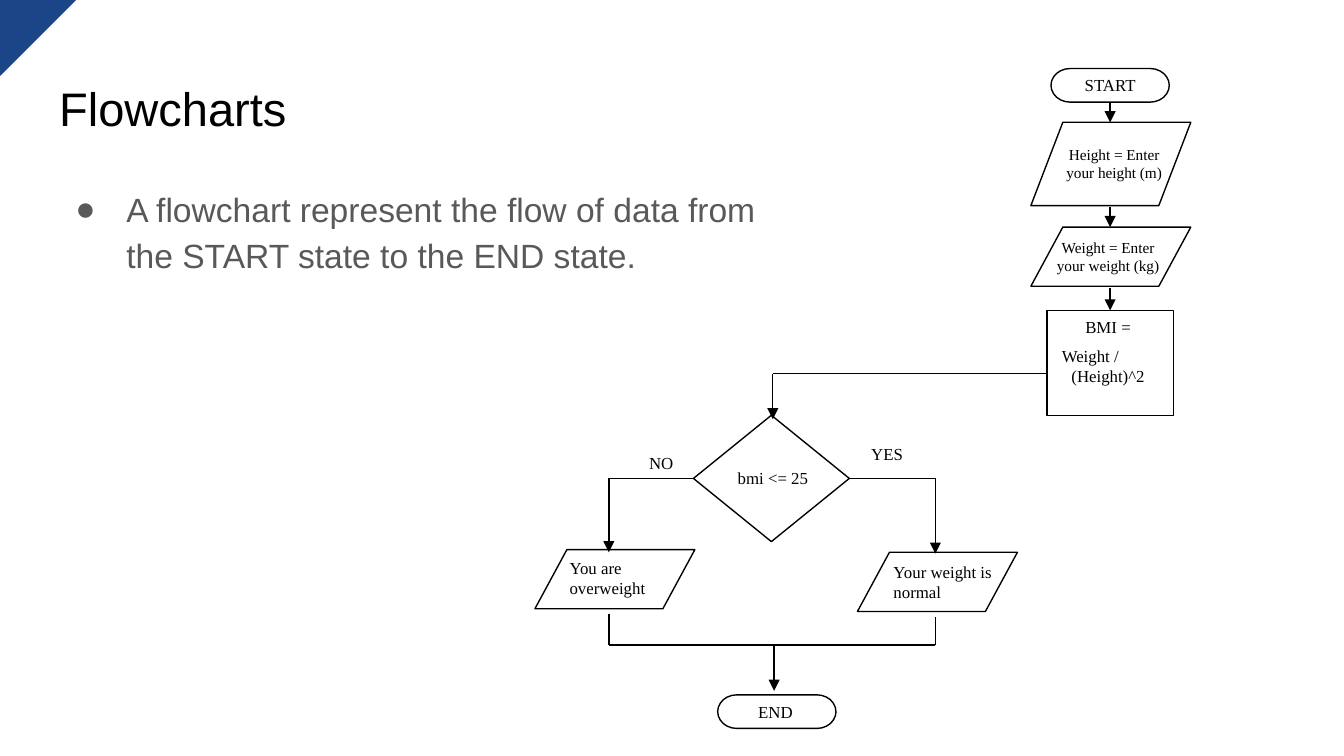
"""Build a slide that explains flowcharts with a BMI example."""
from dataclasses import dataclass

from lxml import etree
from pptx import Presentation
from pptx.dml.color import RGBColor
from pptx.enum import shapes, text
from pptx.oxml import ns
from pptx.util import Inches, Pt


@dataclass(frozen=True)
class Theme:
    ink: RGBColor = RGBColor(0, 0, 0)
    body: RGBColor = RGBColor(0x59, 0x59, 0x59)
    accent: RGBColor = RGBColor(0x1C, 0x45, 0x87)
    sans: str = "Arial"
    serif: str = "Times New Roman"
    title_size: float = 25.2
    body_size: float = 18
    label_size: float = 9
    input_size: float = 8.2
    stroke: float = 0.75


theme = Theme()
kinds = shapes.MSO_SHAPE
align = text.PP_ALIGN


def write(frame, lines, size, font, color, alignment, inset=(0.1, 0.05)):
    frame.word_wrap = True
    frame.auto_size = text.MSO_AUTO_SIZE.NONE
    frame.vertical_anchor = text.MSO_ANCHOR.TOP
    frame.margin_left = frame.margin_right = Inches(inset[0])
    frame.margin_top = frame.margin_bottom = Inches(inset[1])
    for number, line in enumerate(lines):
        paragraph = frame.add_paragraph() if number else frame.paragraphs[0]
        paragraph.alignment = alignment
        paragraph.space_before = Pt(4.5 if number else 0)
        run = paragraph.add_run()
        run.text = line
        run.font.size = Pt(size)
        run.font.name = font
        run.font.color.rgb = color


def connect(start, end, arrow):
    link = slide.shapes.add_connector(
        shapes.MSO_CONNECTOR.STRAIGHT, *map(Inches, (*start, *end)))
    link.line.color.rgb = theme.ink
    link.line.width = Pt(theme.stroke)
    if arrow:
        etree.SubElement(link.line._get_or_add_ln(), ns.qn("a:tailEnd"), type="triangle")
    etree.SubElement(link._element.spPr, ns.qn("a:effectLst"))
    return link


deck = Presentation()
deck.slide_width = Inches(10)
deck.slide_height = deck.slide_width * 9 // 16
slide = deck.slides.add_slide(deck.slide_layouts[1])

title = slide.shapes.title
title.left, title.top, title.width, title.height = map(Inches, (0.34, 0.49, 9.32, 0.63))
write(title.text_frame, ["Flowcharts"], theme.title_size, theme.sans, theme.ink,
      align.LEFT, (0.1, 0.1))

body = slide.placeholders[1]
body.left, body.top, body.width, body.height = map(Inches, (0.34, 1.26, 5.63, 3.74))
write(body.text_frame,
      ["A flowchart represent the flow of data from the START state to the END state."],
      theme.body_size, theme.sans, theme.body, align.LEFT, (0.1, 0.1))
point = body.text_frame.paragraphs[0]
point.line_spacing = 1.15
bullet = point._p.get_or_add_pPr()
bullet.set("marL", str(Inches(0.5)))
bullet.set("indent", str(Inches(-0.38)))
bullet_color = etree.SubElement(bullet, ns.qn("a:buClr"))
etree.SubElement(bullet_color, ns.qn("a:srgbClr"), val=str(theme.body))
etree.SubElement(bullet, ns.qn("a:buFont"), typeface=theme.sans)
etree.SubElement(bullet, ns.qn("a:buChar"), char="●")

corner = slide.shapes.add_shape(
    kinds.RIGHT_TRIANGLE, 0, 0, Inches(0.56), Inches(0.56))
corner.rotation = 90
corner.shadow.inherit = False
corner.fill.solid()
corner.fill.fore_color.rgb = corner.line.color.rgb = theme.accent
corner.line.width = Pt(theme.stroke)

steps = {}
for name, kind, box in (
    ("start", kinds.FLOWCHART_TERMINATOR, (7.82, 0.51, 0.88, 0.25)),
    ("height", kinds.FLOWCHART_DATA, (7.67, 0.91, 1.19, 0.62)),
    ("weight", kinds.FLOWCHART_DATA, (7.67, 1.69, 1.19, 0.44)),
    ("bmi", kinds.RECTANGLE, (7.79, 2.31, 0.94, 0.78)),
    ("decision", kinds.FLOWCHART_DECISION, (5.16, 3.09, 1.16, 0.94)),
    ("overweight", kinds.FLOWCHART_DATA, (3.98, 4.09, 1.19, 0.44)),
    ("normal", kinds.FLOWCHART_DATA, (6.38, 4.11, 1.19, 0.44)),
    ("end", kinds.FLOWCHART_TERMINATOR, (5.34, 5.17, 0.88, 0.25)),
):
    step = slide.shapes.add_shape(kind, *map(Inches, box))
    step.shadow.inherit = False
    step.fill.background()
    step.line.color.rgb = theme.ink
    step.line.width = Pt(theme.stroke)
    steps[name] = step

write(steps["bmi"].text_frame, ["BMI = ", "Weight /\t (Height)^2 "],
      theme.label_size, theme.serif, theme.ink, align.CENTER)
formula = steps["bmi"].text_frame.paragraphs[1]._p.get_or_add_pPr()
tab_stops = etree.SubElement(formula, ns.qn("a:tabLst"))
etree.SubElement(tab_stops, ns.qn("a:tab"), pos=str(Inches(0.72)), algn="l")

for wording, box, size, alignment in (
    ("START", (7.95, 0.51, 0.62, 0.25), theme.label_size, align.CENTER),
    ("Height = Enter your height (m)", (7.82, 1.03, 0.94, 0.38),
     theme.input_size, align.CENTER),
    ("Weight = Enter your weight (kg)", (7.73, 1.72, 1.03, 0.38),
     theme.input_size, align.CENTER),
    ("bmi <= 25", (5.34, 3.43, 0.82, 0.25), theme.label_size, align.CENTER),
    ("YES", (6.29, 3.25, 0.62, 0.25), theme.label_size, align.CENTER),
    ("NO", (4.61, 3.32, 0.62, 0.25), theme.label_size, align.CENTER),
    ("You are overweight", (4.14, 4.1, 0.93, 0.4), theme.label_size, align.LEFT),
    ("Your weight is normal", (6.55, 4.13, 0.93, 0.4), theme.label_size, align.LEFT),
    ("END", (5.46, 5.17, 0.62, 0.25), theme.label_size, align.CENTER),
):
    label = slide.shapes.add_textbox(*map(Inches, box))
    write(label.text_frame, [wording], size, theme.serif, theme.ink, alignment)

input_x, decision_x, end_x, no_x, yes_x = 8.26, 5.75, 5.76, 4.53, 6.96
bmi_y, branch_y, merge_y = 2.78, 3.56, 4.8

to_height = connect((input_x, 0.76), (input_x, 0.91), True)
to_height.begin_connect(steps["start"], 2)
connect((input_x, 1.54), (input_x, 1.69), True)
to_bmi = connect((input_x, 2.14), (input_x, 2.31), True)
to_bmi.end_connect(steps["bmi"], 0)

connect((7.79, bmi_y), (decision_x, bmi_y), False)
connect((decision_x, bmi_y), (decision_x, 3.12), True)

for branch_x, edge_x, side, top, bottom in (
    (no_x, 5.16, 1, 4.11, 4.57),
    (yes_x, 6.32, 3, 4.12, 4.59),
):
    branch = connect((edge_x, branch_y), (branch_x, branch_y), False)
    branch.begin_connect(steps["decision"], side)
    connect((branch_x, branch_y), (branch_x, top), True)
    connect((branch_x, bottom), (branch_x, merge_y), False)

connect((yes_x, merge_y), (no_x, merge_y), False)
connect((end_x, merge_y), (end_x, 5.14), True)

deck.save("out.pptx")
